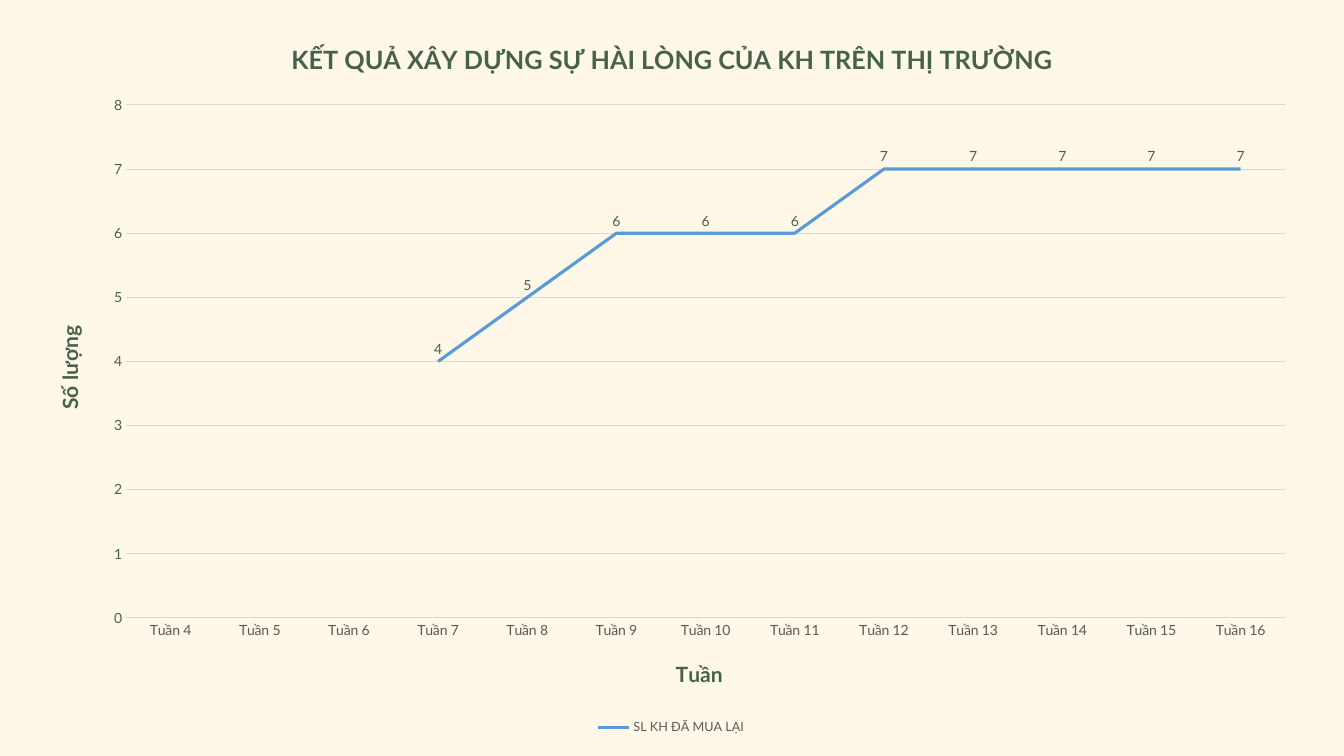
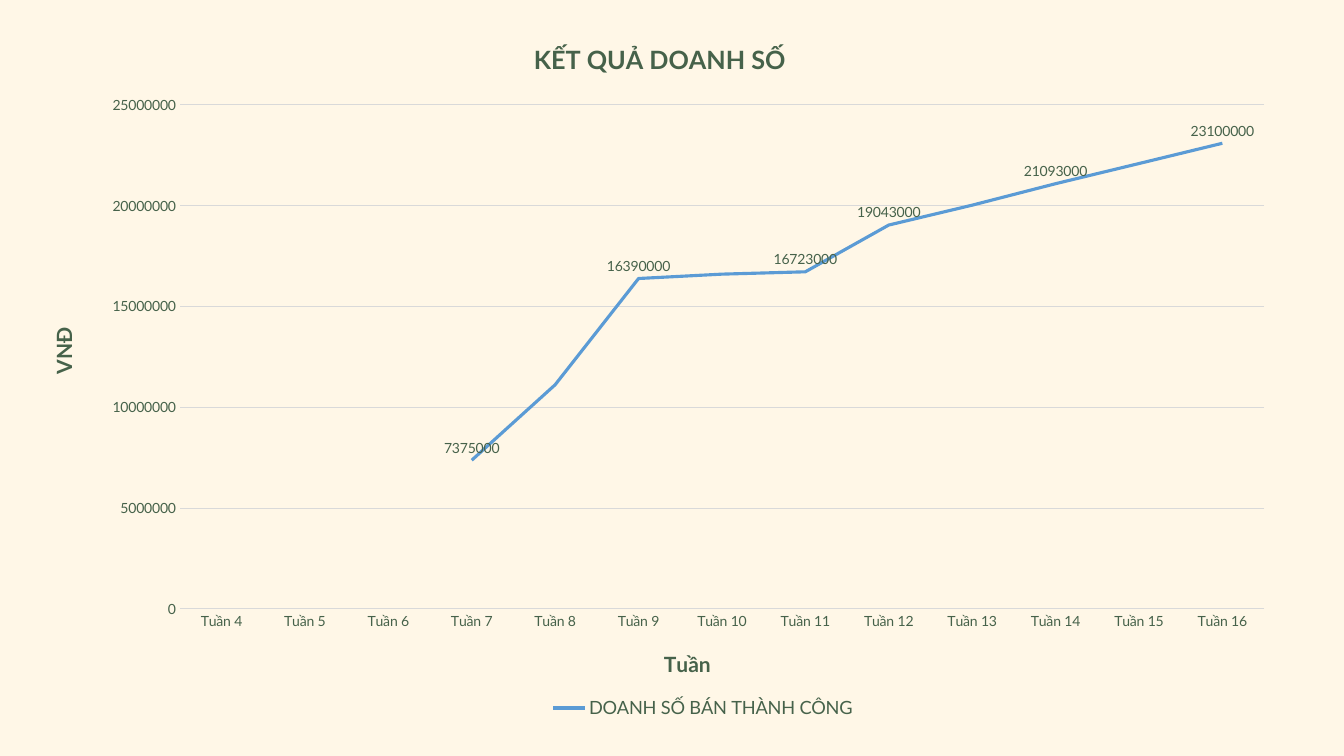
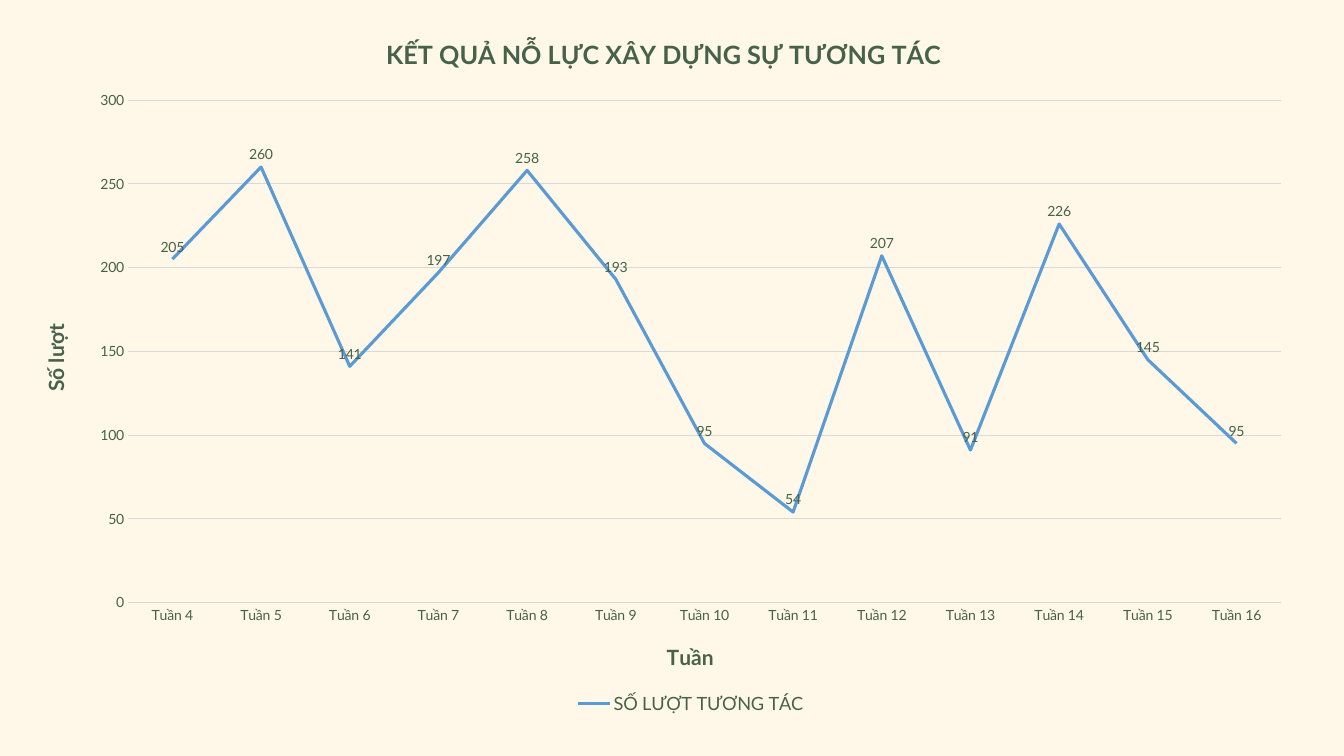
from dataclasses import dataclass
from lxml import etree
from pptx import Presentation
from pptx import util as u
from pptx.chart import data as cd
from pptx.dml import color as col
from pptx.enum import chart as ec, shapes as es
from pptx.oxml import ns

Pt = u.Pt


@dataclass(frozen=True)
class Theme:
    face: str = "Lato"
    paper: str = "FFF7E7"
    ink: str = "46624A"
    gray: str = "595959"
    grid: str = "D9D9D9"
    blue: str = "5B9BD5"
    head: float = 18
    name: float = 15
    base: float = 10
    key: float = 13
    small: float = 9


T = Theme()
WIDE, HIGH = 960, 540
WEEKS = [f"Tuần {n}" for n in range(4, 17)]

# frame and plot: left, top, width, height; xname, yname, key: left, top
SLIDES = [
    dict(head="KẾT QUẢ XÂY DỰNG SỰ HÀI LÒNG CỦA KH TRÊN THỊ TRƯỜNG",
         unit="Số lượng", label="SL KH ĐÃ MUA LẠI",
         vals=[None] * 3 + [4, 5, 6, 6, 6, 7, 7, 7, 7, 7],
         top=8, step=1, frame=(24, 12, 912, 516),
         plot=(90, 75, 828, 366.5), xname=(480, 468), key=(424, 511),
         tint=T.gray, size=T.small),
    dict(head="KẾT QUẢ DOANH SỐ",
         unit="VNĐ", label="DOANH SỐ BÁN THÀNH CÔNG",
         vals=[None] * 3 + [7375000, 11120000, 16390000, 16608000, 16723000,
                            19043000, 20028000, 21093000, 22093000, 23100000],
         top=25000000, step=5000000, frame=(22, 12, 898.5, 514),
         plot=(128.5, 75, 774.5, 360), xname=(471.5, 461), key=(391, 495),
         yname=(32, 231), mute=(4, 6, 9, 11)),
    dict(head="KẾT QUẢ NỖ LỰC XÂY DỰNG SỰ TƯƠNG TÁC",
         unit="Số lượt", label="SỐ LƯỢT TƯƠNG TÁC",
         vals=[205, 260, 141, 197, 258, 193, 95, 54, 207, 91, 226, 145, 95],
         top=300, step=50, frame=(14, 8.5, 920, 512.5),
         plot=(91.5, 71.5, 823.5, 359), xname=(473.5, 456), key=(408.5, 492)),
]


def rgb(code):
    return col.RGBColor.from_string(code)


def put(obj, **vals):
    for key, val in vals.items():
        setattr(obj, key, val)


def style(font, size=T.base, tint=T.ink, bold=False):
    put(font, name=T.face, size=Pt(size), bold=bold)
    font.color.rgb = rgb(tint)


def stroke(line, tint, width):
    line.color.rgb = rgb(tint)
    line.width = Pt(width)


def node(root, tag, **atts):
    return etree.SubElement(root, ns.qn(tag), atts)


def place(elem, index, frame, box):
    """Pin a chart part at a slide position given in points."""
    for old in elem.findall(ns.qn("c:layout")):
        elem.remove(old)
    lay = etree.Element(ns.qn("c:layout"))
    man = node(lay, "c:manualLayout")
    if len(box) == 4:
        node(man, "c:layoutTarget", val="inner")
    for axis in "xy":
        node(man, f"c:{axis}Mode", val="edge")
    left, top, wide, high = frame
    parts = [(box[0] - left) / wide, (box[1] - top) / high]
    if len(box) == 4:
        parts += [box[2] / wide, box[3] / high]
    for key, part in zip("xywh", parts):
        node(man, f"c:{key}", val=f"{part:.4f}")
    elem.insert(index, lay)


def title(owner, words, size):
    owner.has_title = True
    part = owner.chart_title if hasattr(owner, "chart_title") else owner.axis_title
    para = part.text_frame.paragraphs[0]
    run = para.add_run()
    run.text = words
    style(run.font, size, bold=True)
    return part


def axes(chart, info):
    cat, val = chart.category_axis, chart.value_axis
    for axis in (cat, val):
        put(axis, major_tick_mark=ec.XL_TICK_MARK.NONE,
            minor_tick_mark=ec.XL_TICK_MARK.NONE)
    style(cat.tick_labels.font, tint=info.get("tint", T.ink))
    style(val.tick_labels.font)
    put(val, minimum_scale=0, maximum_scale=info["top"],
        major_unit=info["step"], has_major_gridlines=True)
    stroke(cat.format.line, T.grid, 0.75)
    stroke(val.major_gridlines.format.line, T.grid, 0.75)
    val.format.line.fill.background()
    # axis names
    week = title(cat, "Tuần", T.name)
    place(week._element, 1, info["frame"], info["xname"])
    unit = title(val, info["unit"], T.name)
    body = unit.text_frame._txBody.find(ns.qn("a:bodyPr"))
    body.set("rot", "-5400000")
    body.set("vert", "horz")
    if "yname" in info:
        place(unit._element, 1, info["frame"], info["yname"])


def series(chart, info):
    line = chart.plots[0].series[0]
    line.smooth = False
    line.marker.style = ec.XL_MARKER_STYLE.NONE
    stroke(line.format.line, T.blue, 2.25)
    tags = line.data_labels
    put(tags, show_value=True, position=ec.XL_LABEL_POSITION.ABOVE)
    style(tags.font)
    # points without a label
    for spot, index in enumerate(info.get("mute", ())):
        mute = etree.Element(ns.qn("c:dLbl"))
        node(mute, "c:idx", val=str(index))
        node(mute, "c:delete", val="1")
        tags._element.insert(spot, mute)


def legend(chart, info):
    chart.has_legend = True
    key = chart.legend
    put(key, position=ec.XL_LEGEND_POSITION.BOTTOM, include_in_layout=False)
    style(key.font, info.get("size", T.key), info.get("tint", T.ink))
    place(key._element, 1, info["frame"], info["key"])


def graph(slide, info):
    data = cd.CategoryChartData()
    data.categories = WEEKS
    data.add_series(info["label"], info["vals"])
    chart = slide.shapes.add_chart(
        ec.XL_CHART_TYPE.LINE, *map(Pt, info["frame"]), data).chart
    style(chart.font)
    chart.plots[0].vary_by_categories = False
    title(chart, info["head"], T.head)
    axes(chart, info)
    series(chart, info)
    legend(chart, info)
    area = chart._chartSpace.find(".//" + ns.qn("c:plotArea"))
    place(area, 0, info["frame"], info["plot"])


def paper(slide):
    rect = slide.shapes.add_shape(
        es.MSO_SHAPE.RECTANGLE, 0, 0, Pt(WIDE), Pt(HIGH))
    rect.shadow.inherit = False
    rect.fill.solid()
    rect.fill.fore_color.rgb = rgb(T.paper)
    rect.line.fill.background()


def main():
    deck = Presentation()
    put(deck, slide_width=Pt(WIDE), slide_height=Pt(HIGH))
    for info in SLIDES:
        slide = deck.slides.add_slide(deck.slide_layouts[6])
        paper(slide)
        graph(slide, info)
    deck.save("out.pptx")


if __name__ == "__main__":
    main()
